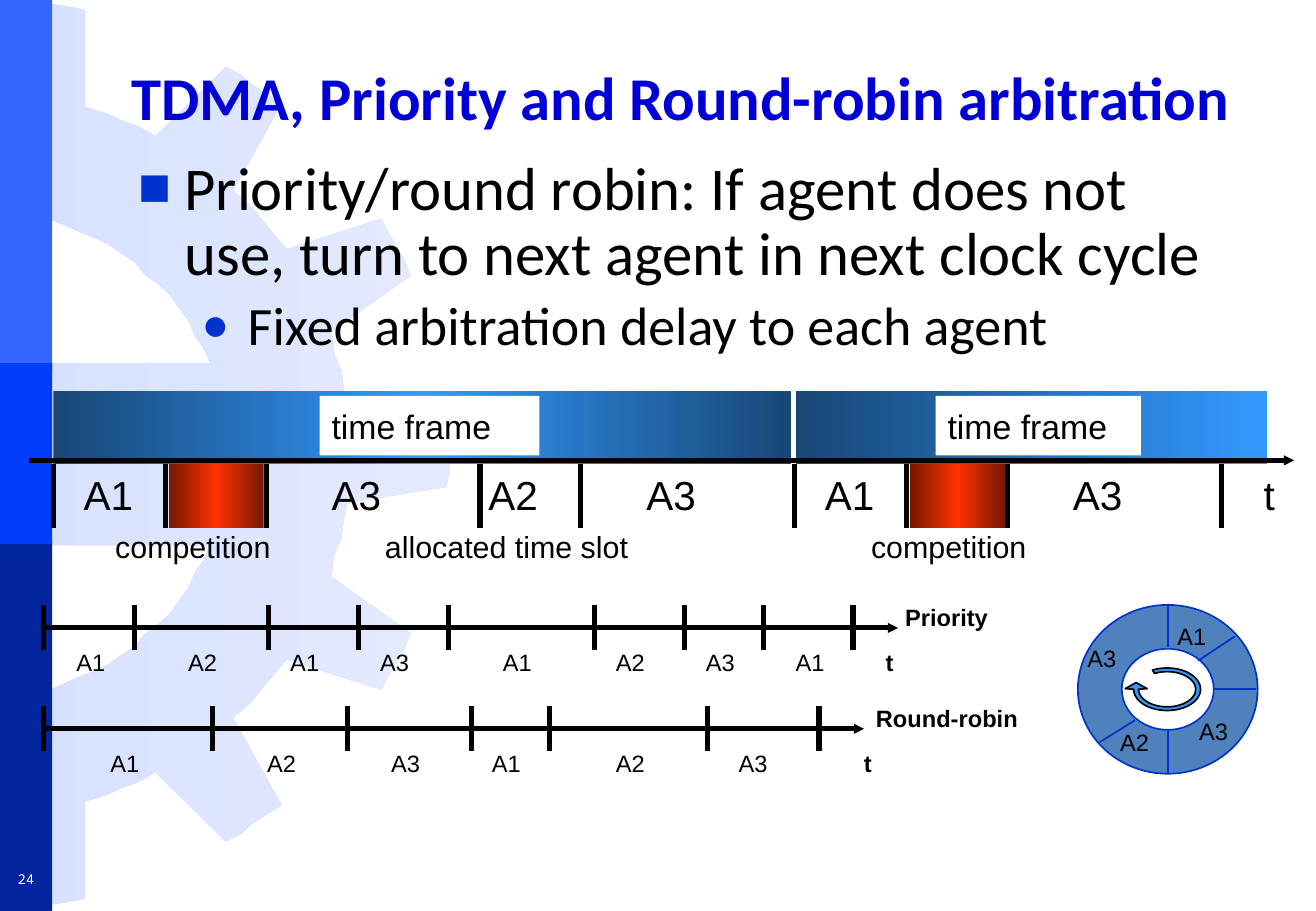
from copy import deepcopy
from math import cos, radians, sin

from lxml import etree
from pptx import Presentation
from pptx.dml.color import RGBColor
from pptx.enum.shapes import MSO_CONNECTOR, MSO_SHAPE
from pptx.enum.text import MSO_ANCHOR, PP_ALIGN
from pptx.oxml.ns import qn
from pptx.util import Pt

PX = 9144
RECT, DONUT = MSO_SHAPE.RECTANGLE, MSO_SHAPE.DONUT
STRAIGHT = MSO_CONNECTOR.STRAIGHT
TOP, MIDDLE, BOTTOM = MSO_ANCHOR.TOP, MSO_ANCHOR.MIDDLE, MSO_ANCHOR.BOTTOM
LEFT, CENTER = PP_ALIGN.LEFT, PP_ALIGN.CENTER

THEME = {
    "title": "0000D6", "ink": "000000", "white": "FFFFFF", "accent": "0033CC",
    "gear": ("D7E1FF", "E3EAFF"), "ring": "4F81BD", "arrow": "3399FF",
    "side_top": "3366FF", "side_mid": "003CFC", "side_low": "00259C",
    "frame": ("184776", "3399FF", "184776"), "frame_open": ("184776", "3399FF"),
    "competition": ("761800", "FF3300", "761800"),
    "heading": 36, "sub": 32, "slot": 24, "frame_label": 20,
    "note": 18, "label": 14, "page": 8,
    "head_font": "Calibri", "font": "Arial", "page_font": "Noto Sans Mono",
}

prs = Presentation()
prs.slide_width, prs.slide_height = 1083 * PX, 750 * PX
s = prs.slides.add_slide(prs.slide_layouts[6])


def paint(sp, fill, line=None):
    sp.shadow.inherit = False
    if isinstance(fill, tuple):
        sp.fill.gradient()
        sp.fill.gradient_angle = 0
        stops = sp._element.spPr.find(".//" + qn("a:gsLst"))
        for _ in fill[2:]:
            stops.append(deepcopy(stops[0]))
        for i, (stop, color) in enumerate(zip(sp.fill.gradient_stops, fill)):
            stop.position = i / (len(fill) - 1)
            stop.color.rgb = RGBColor.from_string(color)
    else:
        sp.fill.solid()
        sp.fill.fore_color.rgb = RGBColor.from_string(fill)
    if line:
        sp.line.color.rgb = RGBColor.from_string(line)
        sp.line.width = Pt(1)
    else:
        sp.line.fill.background()


def text(x, y, w, h, *paragraphs, size=THEME["label"], font=THEME["font"],
         color=THEME["ink"], bold=False, align=LEFT, anchor=MIDDLE,
         fill=None, spacing=None, bullets=()):
    sp = s.shapes.add_textbox(x * PX, y * PX, w * PX, h * PX)
    if fill:
        paint(sp, fill)
    tf = sp.text_frame
    tf.word_wrap = True
    tf.vertical_anchor = anchor
    for i, words in enumerate(paragraphs):
        p = tf.add_paragraph() if i else tf.paragraphs[0]
        p.alignment = align
        p.line_spacing = spacing
        run_size = size
        if bullets:
            char, scale, margin, run_size = bullets[i]
            p.level = i
            if i:
                p.space_before = Pt(6)
            pPr = p._p.get_or_add_pPr()
            pPr.set("marL", str(margin * PX))
            pPr.set("indent", str(-38 * PX))
            color_el = etree.SubElement(pPr, qn("a:buClr"))
            etree.SubElement(color_el, qn("a:srgbClr"), val=THEME["accent"])
            etree.SubElement(pPr, qn("a:buSzPct"), val=str(scale * 1000))
            etree.SubElement(pPr, qn("a:buFont"), typeface=THEME["font"])
            etree.SubElement(pPr, qn("a:buChar"), char=char)
        r = p.add_run()
        r.text = words
        r.font.name, r.font.size, r.font.bold = font, Pt(run_size), bold
        r.font.color.rgb = RGBColor.from_string(color)


upper_gear = [
    (0, 299), (173, 299), (167, 286), (160, 276), (155, 264), (147, 253),
    (139, 242), (130, 234), (119, 226), (111, 216), (100, 209), (89, 201),
    (78, 196), (65, 191), (54, 186), (42, 181), (28, 180), (14, 176), (14, 0),
    (29, 1), (42, 3), (55, 5), (70, 8), (70, 88), (87, 93), (100, 99),
    (114, 104), (128, 112), (186, 55), (199, 62), (208, 70), (219, 77),
    (232, 85), (192, 157), (206, 169), (215, 180), (225, 192), (236, 205),
    (314, 180), (320, 192), (327, 204), (333, 214), (338, 227), (273, 273),
    (275, 291), (281, 305), (283, 320), (286, 334), (367, 347), (370, 359)]
gear = upper_gear + [(x, 748 - y) for x, y in reversed(upper_gear)]

turn = [radians(a) for a in range(-116, 181, 4)]
arrow = [(960.5 + 27.5 * cos(a), 567.5 + 17.5 * sin(a)) for a in turn]
arrow += [(926, 567), (935, 562), (944, 567)]
arrow += [(960.5 + 23.5 * cos(a), 567.5 + 14.5 * sin(a)) for a in reversed(turn)]

ring = s.shapes.add_shape(DONUT, 887 * PX, 498 * PX, 148 * PX, 139 * PX)
ring.adjustments[0] = 0.26
paint(ring, THEME["ring"], THEME["accent"])

for outline, fill, line in [(gear, THEME["gear"], None),
                            (arrow, THEME["arrow"], THEME["ink"])]:
    points = [(x * PX, y * PX) for x, y in outline]
    builder = s.shapes.build_freeform(*points[0])
    builder.add_line_segments(points[1:], close=True)
    paint(builder.convert_to_shape(), fill, line)

for x, y, w, h, fill in [
    (0, 0, 43, 305, "side_top"), (0, 446, 43, 304, "side_low"),
    (0, 299, 43, 149, "side_mid"),
    (655, 322, 388, 60, "frame_open"), (44, 322, 607, 60, "frame"),
    (139, 382, 78, 53, "competition"), (749, 382, 78, 53, "competition"),
]:
    paint(s.shapes.add_shape(RECT, x * PX, y * PX, w * PX, h * PX), THEME[fill])

text(0, 711, 43, 26, "24", size=THEME["page"], font=THEME["page_font"],
     color=THEME["white"], align=CENTER)
text(98, 21, 939, 94, "TDMA, Priority and Round-robin arbitration",
     size=THEME["heading"], font=THEME["head_font"], color=THEME["title"],
     bold=True, anchor=BOTTOM, spacing=0.9)
text(104, 125, 921, 250,
     "Priority/round robin: If agent does not use, turn to next agent in next clock cycle",
     "Fixed arbitration delay to each agent",
     font=THEME["head_font"], anchor=TOP, spacing=0.9,
     bullets=[("■", 90, 38, THEME["heading"]), ("●", 85, 90, THEME["sub"])])

for x, w in [(263, 181), (770, 169)]:
    text(x, 326, w, 49, "time frame", size=THEME["frame_label"], fill=THEME["white"])
for x, w, words in [(85, 165, "competition"), (307, 246, "allocated time slot"),
                    (707, 165, "competition")]:
    text(x, 427, w, 45, words, size=THEME["note"])
for x, y, w, words in [(735, 489, 98, "Priority"), (711, 572, 152, "Round-robin"),
                       (719, 526, 29, "t"), (701, 609, 29, "t")]:
    text(x, y, w, 38, words, bold=True)
text(1030, 379, 32, 56, "t", size=THEME["slot"])
for x, y, agent in [(977, 583, "A3"), (912, 592, "A2"),
                    (885, 523, "A3"), (959, 505, "A1")]:
    text(x, y, 49, 38, agent)

lines = [(x1, y1, x2, y2, "accent", 1, False) for x1, y1, x2, y2 in [
    (961, 498, 961, 533), (998, 567, 1034, 567), (961, 602, 961, 637),
    (986, 544, 1016, 524), (934, 593, 905, 611)]]

timelines = [
    (24, 1065, 379, 382, 435, (44, 136, 219, 395, 478, 654, 746, 829, 1005),
     379, 68, 56, "slot",
     [(59, "A1"), (263, "A3"), (392, "A2"), (522, "A3"), (669, "A1"), (873, "A3")]),
    (36, 739, 517, 498, 535, (36, 111, 221, 295, 369, 489, 563, 628, 702),
     526, 49, 38, "label",
     [(53, "A1"), (145, "A2"), (229, "A1"), (303, "A3"), (404, "A1"),
      (497, "A2"), (571, "A3"), (645, "A1")]),
    (36, 711, 600, 581, 618, (36, 175, 286, 388, 452, 582, 674),
     609, 49, 38, "label",
     [(81, "A1"), (210, "A2"), (312, "A3"), (395, "A1"), (497, "A2"), (598, "A3")]),
]
for start, end, axis, top, bottom, ticks, label_y, w, h, size, agents in timelines:
    lines.append((start, axis, end, axis, "ink", 3, True))
    lines += [(x, top, x, bottom, "ink", 3, False) for x in ticks]
    for x, agent in agents:
        text(x, label_y, w, h, agent, size=THEME[size])

for x1, y1, x2, y2, color, width, arrowhead in lines:
    c = s.shapes.add_connector(STRAIGHT, x1 * PX, y1 * PX, x2 * PX, y2 * PX)
    c.line.color.rgb = RGBColor.from_string(THEME[color])
    c.line.width = Pt(width)
    if arrowhead:
        etree.SubElement(c.line._get_or_add_ln(), qn("a:tailEnd"),
                         type="triangle", w="sm", len="sm")
    etree.SubElement(c._element.spPr, qn("a:effectLst"))

prs.save("out.pptx")
